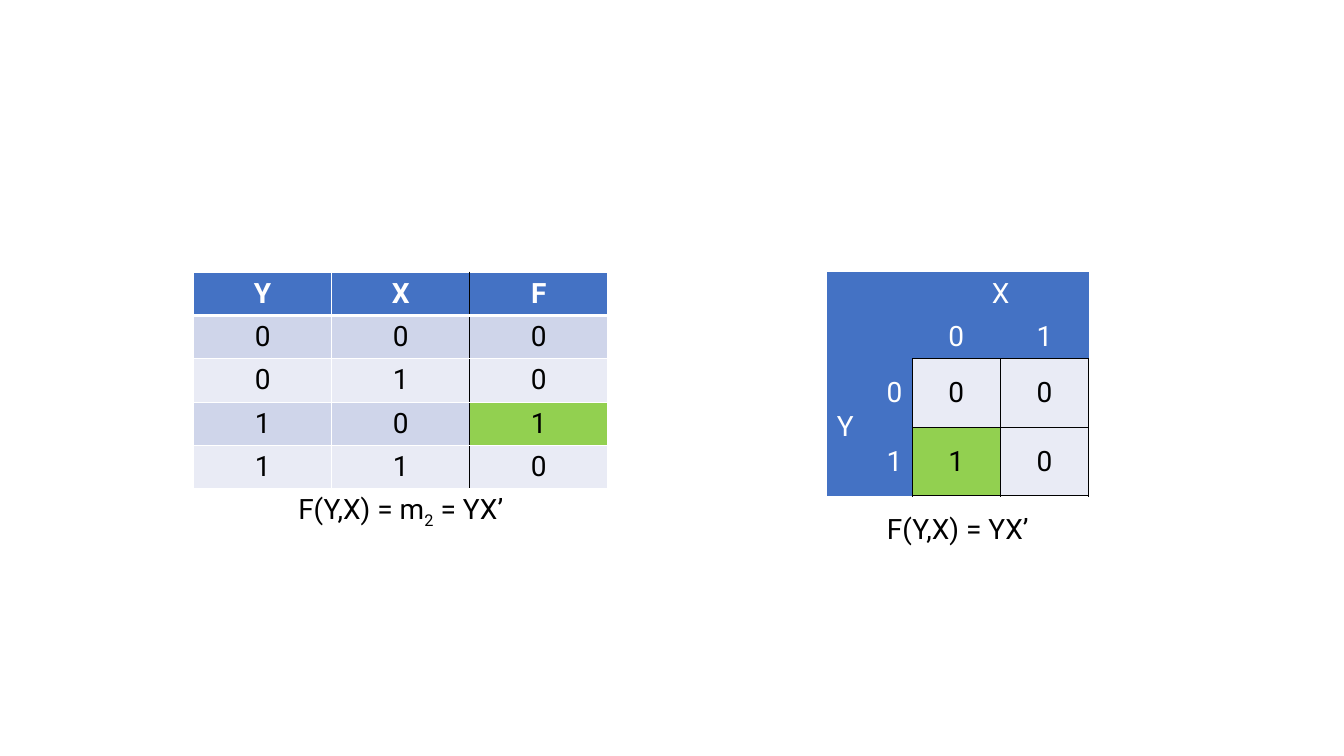
"""Build a slide with a truth table beside its two-variable Karnaugh map."""
from dataclasses import dataclass, field

from lxml.etree import SubElement
from pptx import Presentation
from pptx.dml.color import RGBColor
from pptx.enum.text import MSO_ANCHOR, PP_ALIGN
from pptx.oxml.ns import qn
from pptx.slide import Slide
from pptx.table import Table, _Cell
from pptx.util import Inches, Pt

FONT = "Roboto"
BLUE, GREEN, WHITE, BLACK = "4472C4", "92D050", "FFFFFF", "000000"
DARK_BAND, LIGHT_BAND = "CFD5EA", "E9EBF5"
NO_STYLE = "{2D5ABB26-0587-4C30-8999-92F81FD0307C}"
TOP = 2.7
TRUTH_ROWS = ["YXF", "000", "010", "101", "110"]
MAP_ROWS = ["  X ", "  01", "Y000", " 110"]


@dataclass
class Grid:
    """Place and track sizes of a table, in inches."""
    left: float
    cols: list[float]
    rows: list[float]


@dataclass
class CellStyle:
    """Look of one cell; edges map a side (L, R, T, B) to colour and points."""
    fill: str | None = None
    color: str = BLACK
    bold: bool = False
    align: PP_ALIGN = PP_ALIGN.CENTER
    anchor: MSO_ANCHOR = MSO_ANCHOR.TOP
    edges: dict[str, tuple[str, float]] = field(default_factory=dict)


def rgb(value: str) -> RGBColor:
    """Turn a hex string into a colour."""
    return RGBColor.from_string(value)


def add_grid(s: Slide, grid: Grid) -> Table:
    """Add an unstyled table with the given columns and rows."""
    frame = s.shapes.add_table(
        len(grid.rows), len(grid.cols), Inches(grid.left), Inches(TOP),
        Inches(sum(grid.cols)), Inches(sum(grid.rows)))
    table = frame.table
    table.first_row = table.horz_banding = False
    frame._element.find(".//" + qn("a:tableStyleId")).text = NO_STYLE
    for col, width in zip(table.columns, grid.cols):
        col.width = Inches(width)
    for row, height in zip(table.rows, grid.rows):
        row.height = Inches(height)
    return table


def set_edges(cell: _Cell, edges: dict[str, tuple[str, float]]) -> None:
    """Draw the borders of a cell in schema order."""
    tc_pr = cell._tc.get_or_add_tcPr()
    sides = [side for side in "LRTB" if side in edges]
    for i, side in enumerate(sides):
        color, width = edges[side]
        ln = SubElement(tc_pr, qn(f"a:ln{side}"), w=str(Pt(width)))
        fill = SubElement(ln, qn("a:solidFill"))
        SubElement(fill, qn("a:srgbClr"), val=color)
        tc_pr.insert(i, ln)


def write_cell(cell: _Cell, style: CellStyle, *texts: str, sub: int = -1) -> None:
    """Format a cell and add its runs, the one at index sub as a subscript."""
    if style.fill:
        cell.fill.solid()
        cell.fill.fore_color.rgb = rgb(style.fill)
    else:
        cell.fill.background()
    set_edges(cell, style.edges)
    cell.vertical_anchor = style.anchor
    p = cell.text_frame.paragraphs[0]
    p.alignment = style.align
    for i, text in enumerate(texts):
        r = p.add_run()
        r.text = text
        r.font.name, r.font.size, r.font.bold = FONT, Pt(20), style.bold
        r.font.color.rgb = rgb(style.color)
        if i == sub:
            r._r.get_or_add_rPr().set("baseline", "-25000")


def truth_style(row: int, col: int) -> CellStyle:
    """Style a truth table cell by its row band and column."""
    header = row == 0
    edges = {side: (WHITE, 1) for side in "LRTB"}
    if header:
        edges["B"] = (WHITE, 3)
    if col:
        edges["R" if col == 1 else "L"] = (BLACK, 1)
    fill = BLUE if header else DARK_BAND if row % 2 else LIGHT_BAND
    if (row, col) == (3, 2):
        fill = GREEN
    return CellStyle(fill, WHITE if header else BLACK, header, edges=edges)


def map_style(row: int, col: int) -> CellStyle:
    """Style a Karnaugh map cell as a label or as a bordered value."""
    line = (BLACK, 1)
    if row >= 2 and col >= 2:
        fill = GREEN if (row, col) == (3, 2) else LIGHT_BAND
        return CellStyle(fill, anchor=MSO_ANCHOR.MIDDLE,
                         edges={side: line for side in "LRTB"})
    style = CellStyle(BLUE, WHITE, anchor=MSO_ANCHOR.BOTTOM)
    if row >= 2:
        style.anchor = MSO_ANCHOR.MIDDLE
        style.align = PP_ALIGN.RIGHT if col else PP_ALIGN.LEFT
        style.edges = {"R": line} if col else {}
    elif row == 1 and col >= 2:
        style.edges = {"B": line}
    return style


def add_truth_table(s: Slide) -> None:
    """Add the truth table with its formula row."""
    table = add_grid(s, Grid(1.92, [1.37] * 3, [0.43] * 6))
    for i, values in enumerate(TRUTH_ROWS):
        for j, value in enumerate(values):
            write_cell(table.cell(i, j), truth_style(i, j), value)
    table.cell(5, 0).merge(table.cell(5, 2))
    write_cell(table.cell(5, 0), CellStyle(), "F(Y,X) = m", "2", " = YX’", sub=1)


def add_karnaugh_map(s: Slide) -> None:
    """Add the Karnaugh map with its formula row."""
    grid = Grid(8.2, [0.43, 0.42, 0.87, 0.88], [0.43] * 2 + [0.68] * 3)
    table = add_grid(s, grid)
    for i, values in enumerate(MAP_ROWS):
        for j, value in enumerate(values):
            write_cell(table.cell(i, j), map_style(i, j), *value.strip())
    table.cell(0, 2).merge(table.cell(0, 3))
    table.cell(2, 0).merge(table.cell(3, 0))
    table.cell(4, 0).merge(table.cell(4, 3))
    write_cell(table.cell(4, 0), CellStyle(anchor=MSO_ANCHOR.MIDDLE), "F(Y,X) = YX’")


def main() -> None:
    """Build and save the slide."""
    prs = Presentation()
    prs.slide_width, prs.slide_height = Inches(13.33), Inches(7.5)
    s = prs.slides.add_slide(prs.slide_layouts[6])
    add_truth_table(s)
    add_karnaugh_map(s)
    prs.save("out.pptx")


if __name__ == "__main__":
    main()
